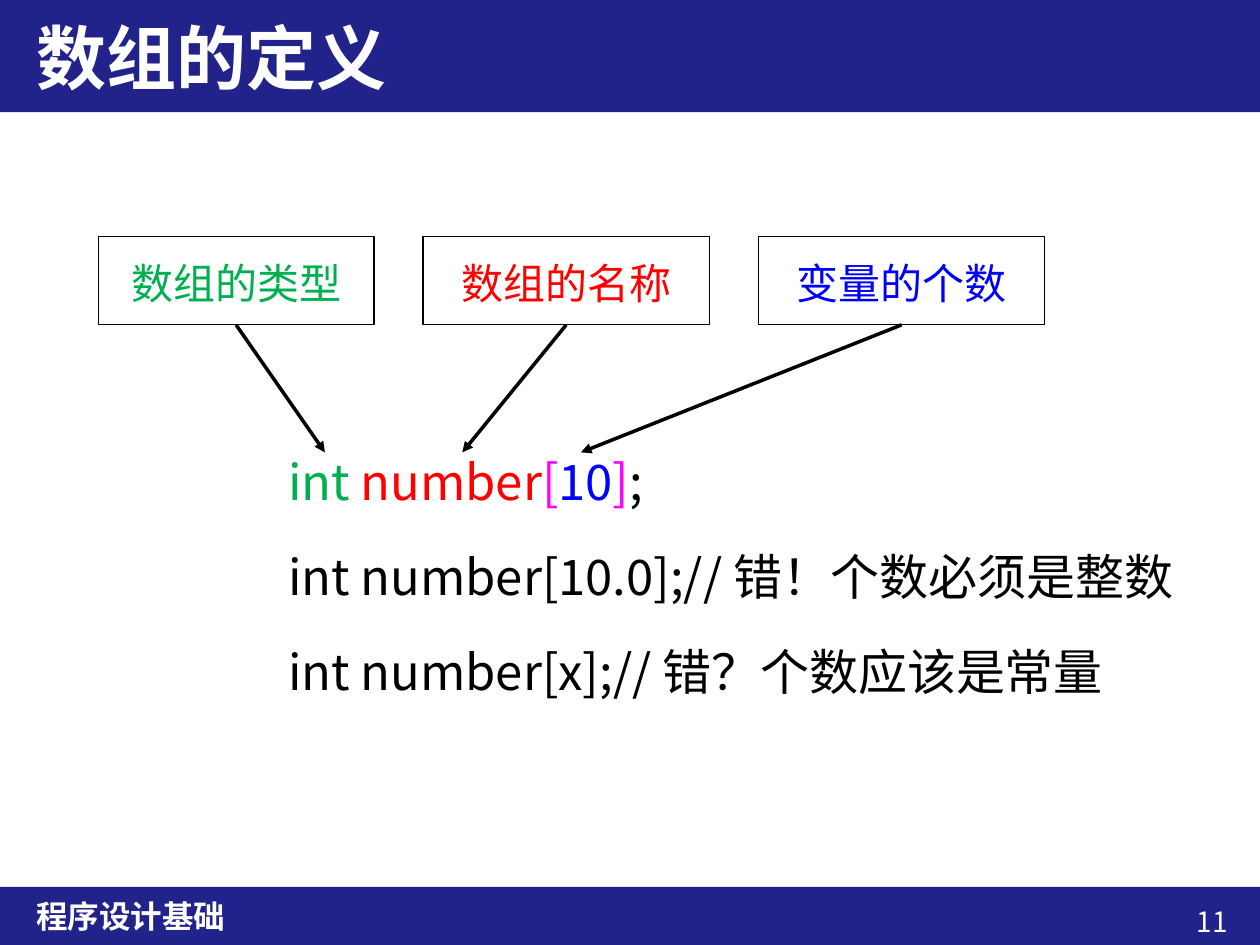
from lxml import etree
from pptx import Presentation
from pptx.dml.color import RGBColor
from pptx.enum.shapes import MSO_CONNECTOR, MSO_SHAPE
from pptx.enum.text import MSO_ANCHOR, PP_ALIGN
from pptx.oxml.ns import qn
from pptx.util import Cm, Pt

RECT = MSO_SHAPE.RECTANGLE
LINE = MSO_CONNECTOR.STRAIGHT
TOP, MIDDLE = MSO_ANCHOR.TOP, MSO_ANCHOR.MIDDLE
LEFT, CENTER, RIGHT = PP_ALIGN.LEFT, PP_ALIGN.CENTER, PP_ALIGN.RIGHT

FONT = "Noto Sans CJK SC"
NAVY, WHITE, BLACK = "22228B", "FFFFFF", "000000"
GREEN, RED, BLUE, PINK = "00B050", "FF0000", "0000FF", "FF00FF"
WIDTH, HEIGHT = 25.4, 19.05


def color(code):
    return RGBColor.from_string(code)


def style(para, size, code, bold=False, align=LEFT):
    para.alignment = align
    font = para.font
    font.name, font.size, font.bold = FONT, Pt(size), bold
    font.color.rgb = color(code)
    # East Asian glyphs take their own typeface
    props = para._p.pPr.find(qn("a:defRPr"))
    etree.SubElement(props, qn("a:ea")).set("typeface", FONT)


def setup(frame, anchor=TOP):
    frame.word_wrap = True
    frame.vertical_anchor = anchor
    return frame.paragraphs[0]


def add_text(slide, area, text, size, code, anchor=TOP, **look):
    box = slide.shapes.add_textbox(*map(Cm, area))
    para = setup(box.text_frame, anchor)
    para.text = text
    style(para, size, code, **look)


def add_band(slide, top, height):
    band = slide.shapes.add_shape(RECT, 0, Cm(top), Cm(WIDTH), Cm(height))
    band.shadow.inherit = False
    band.fill.solid()
    band.fill.fore_color.rgb = color(NAVY)
    band.line.fill.background()


def add_title(slide, text):
    title = slide.shapes.title
    title.left, title.top, title.width, title.height = map(
        Cm, (0.48, 0, 24.38, 2.26))
    para = setup(title.text_frame, MIDDLE)
    para.text = text
    style(para, 40, WHITE, bold=True)
    # Bring the title in front of its band
    title._element.getparent().append(title._element)


def add_label(slide, left, width, text, code):
    box = slide.shapes.add_shape(RECT, Cm(left), Cm(4.77), Cm(width), Cm(1.78))
    box.shadow.inherit = False
    box.fill.background()
    box.line.color.rgb = color(BLACK)
    box.line.width = Pt(0.75)
    para = setup(box.text_frame)
    para.text = text
    para.line_spacing = 1.3
    style(para, 24, code, align=CENTER)
    return box


def add_arrow(slide, box, tip):
    arrow = slide.shapes.add_connector(LINE, 0, 0, Cm(tip), Cm(9.12))
    arrow.begin_connect(box, 2)
    arrow.line.color.rgb = color(BLACK)
    arrow.line.width = Pt(2)
    line = arrow.line._get_or_add_ln()
    etree.SubElement(line, qn("a:tailEnd")).set("type", "triangle")
    etree.SubElement(arrow._element.spPr, qn("a:effectLst"))


def add_code(slide, area, lines):
    frame = slide.shapes.add_textbox(*map(Cm, area)).text_frame
    para = setup(frame)
    for row, parts in enumerate(lines):
        if row:
            para = frame.add_paragraph()
            para.space_before = Pt(24)
        para.line_spacing = 0.9
        style(para, 28, BLACK)
        for text, code in parts:
            run = para.add_run()
            run.text = text
            if code != BLACK:
                run.font.color.rgb = color(code)


def main():
    deck = Presentation()
    deck.slide_width, deck.slide_height = Cm(WIDTH), Cm(HEIGHT)
    slide = deck.slides.add_slide(deck.slide_layouts[5])

    # Footer and header
    add_band(slide, 17.88, 1.17)
    add_text(slide, (21.82, 18.11, 3.18, 0.94), "11", 16, WHITE, align=RIGHT)
    add_text(slide, (0.48, 17.88, 24.38, 1.17), "程序设计基础", 18, WHITE,
             MIDDLE, bold=True)
    add_band(slide, 0, 2.26)
    add_title(slide, "数组的定义")

    # Array declarations, right and wrong
    add_code(slide, (5.56, 9.12, 19.84, 5.94), [
        [("int ", GREEN), ("number", RED), ("[", PINK), ("10", BLUE),
         ("]", PINK), (";", BLACK)],
        [("int number[10.0];// 错！个数必须是整数", BLACK)],
        [("int number[x];// 错？个数应该是常量", BLACK)],
    ])

    # Labels pointing at the parts of the declaration
    for left, width, text, code, tip in [
        (1.98, 5.56, "数组的类型", GREEN, 6.55),
        (8.53, 5.77, "数组的名称", RED, 9.32),
        (15.29, 5.77, "变量的个数", BLUE, 11.71),
    ]:
        box = add_label(slide, left, width, text, code)
        add_arrow(slide, box, tip)

    deck.save("out.pptx")


if __name__ == "__main__":
    main()
